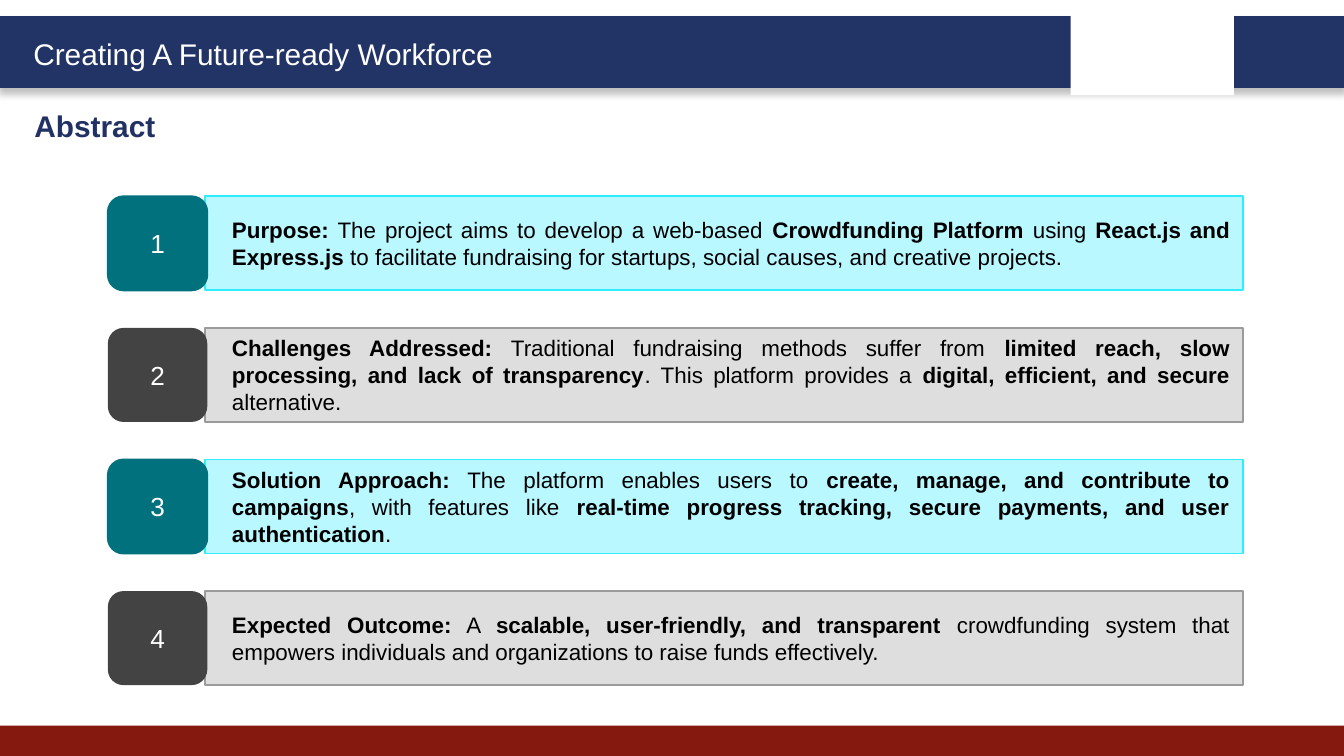
import lxml.etree
import pptx
import pptx.dml.color
import pptx.enum.shapes
import pptx.enum.text
import pptx.oxml.ns
import pptx.util

Pt = pptx.util.Pt
SHAPE = pptx.enum.shapes.MSO_SHAPE
ALIGN = pptx.enum.text.PP_ALIGN
ANCHOR = pptx.enum.text.MSO_ANCHOR

COLORS = {
    "navy": "223366",
    "title": "213163",
    "red": "851910",
    "white": "FFFFFF",
    "black": "000000",
    "teal": "00717D",
    "cyan": "BAF8FF",
    "cyan_edge": "31EBFF",
    "charcoal": "434343",
    "gray": "DEDEDE",
    "gray_edge": "9B9B9B",
}

SCHEMES = [
    {"badge": "teal", "badge_edge": "teal", "panel": "cyan", "panel_edge": "cyan_edge"},
    {"badge": "charcoal", "badge_edge": None, "panel": "gray", "panel_edge": "gray_edge"},
]

# Each statement alternates bold and regular spans, starting with bold.
STATEMENTS = [
    ["Purpose:", " The project aims to develop a web-based ",
     "Crowdfunding Platform", " using ", "React.js and Express.js",
     " to facilitate fundraising for startups, social causes, and creative projects."],
    ["Challenges Addressed:", " Traditional fundraising methods suffer from ",
     "limited reach, slow processing, and lack of transparency",
     ". This platform provides a ", "digital, efficient, and secure", " alternative."],
    ["Solution Approach:", " The platform enables users to ",
     "create, manage, and contribute to campaigns", ", with features like ",
     "real-time progress tracking, secure payments, and user authentication", "."],
    ["Expected Outcome:", " A ", "scalable, user-friendly, and transparent",
     " crowdfunding system that empowers individuals and organizations"
     " to raise funds effectively."],
]

FIRST_TOP = 105.2
ROW_PITCH = 70.5
ROW_HEIGHT = 50.4


def color(name):
    return pptx.dml.color.RGBColor.from_string(COLORS[name])


def add_box(page, kind, left, top, width, height, fill, edge=None, edge_width=1):
    box = page.shapes.add_shape(kind, Pt(left), Pt(top), Pt(width), Pt(height))
    box.shadow.inherit = False
    box.fill.solid()
    box.fill.fore_color.rgb = color(fill)
    if edge:
        box.line.color.rgb = color(edge)
        box.line.width = Pt(edge_width)
    else:
        box.line.fill.background()
    return box


def add_span(para, text, size, ink, bold=False):
    span = para.add_run()
    span.text = text
    span.font.name = "Arial"
    span.font.size = Pt(size)
    span.font.bold = bold
    span.font.color.rgb = color(ink)


def add_heading(page, left, top, width, text, ink, bold=False):
    box = page.shapes.add_textbox(Pt(left), Pt(top), Pt(width), Pt(26.6))
    box.text_frame.word_wrap = True
    add_span(box.text_frame.paragraphs[0], text, 16, ink, bold)


def add_drop_shadow(box):
    qn = pptx.oxml.ns.qn
    effects = box.element.spPr.find(qn("a:effectLst"))
    shadow = lxml.etree.SubElement(
        effects, qn("a:outerShdw"), blurRad=str(Pt(4)), dist=str(Pt(3)),
        dir="5400000", algn="t", rotWithShape="0")
    tint = lxml.etree.SubElement(shadow, qn("a:srgbClr"), val=COLORS["black"])
    lxml.etree.SubElement(tint, qn("a:alpha"), val="25000")


def add_panel(page, top, statement, scheme):
    box = add_box(page, SHAPE.RECTANGLE, 110, top, 556, ROW_HEIGHT,
                  scheme["panel"], scheme["panel_edge"])
    box.text_frame.word_wrap = True
    box.text_frame.vertical_anchor = ANCHOR.MIDDLE
    para = box.text_frame.paragraphs[0]
    para.alignment = ALIGN.JUSTIFY
    properties = para._p.get_or_add_pPr()
    properties.set("marL", str(Pt(7.2)))
    properties.set("indent", "0")
    for position, text in enumerate(statement):
        add_span(para, text, 12, "black", bold=position % 2 == 0)


def add_badge(page, top, number, scheme):
    box = add_box(page, SHAPE.ROUNDED_RECTANGLE, 57.8, top, 53.3, ROW_HEIGHT,
                  scheme["badge"], scheme["badge_edge"])
    box.text_frame.vertical_anchor = ANCHOR.MIDDLE
    para = box.text_frame.paragraphs[0]
    para.alignment = ALIGN.CENTER
    add_span(para, str(number), 14, "white")


def add_frame(page):
    header = add_box(page, SHAPE.RECTANGLE, 0, 9.4, 720, 36.7, "navy", "navy", 2)
    add_drop_shadow(header)
    add_box(page, SHAPE.RECTANGLE, 0, 388.8, 720, 16.2, "red")
    add_box(page, SHAPE.RECTANGLE, 573.6, 5, 87.4, 46, "white")
    add_heading(page, 10.8, 15.4, 272, "Creating A Future-ready Workforce", "white")
    add_heading(page, 11.4, 54, 350, "Abstract", "title", bold=True)


def main():
    deck = pptx.Presentation()
    deck.slide_width, deck.slide_height = Pt(720), Pt(405)
    page = deck.slides.add_slide(deck.slide_layouts[6])
    add_frame(page)
    for row, statement in enumerate(STATEMENTS):
        top = FIRST_TOP + row * ROW_PITCH
        scheme = SCHEMES[row % len(SCHEMES)]
        add_panel(page, top, statement, scheme)
        add_badge(page, top, row + 1, scheme)
    deck.save("out.pptx")


if __name__ == "__main__":
    main()
